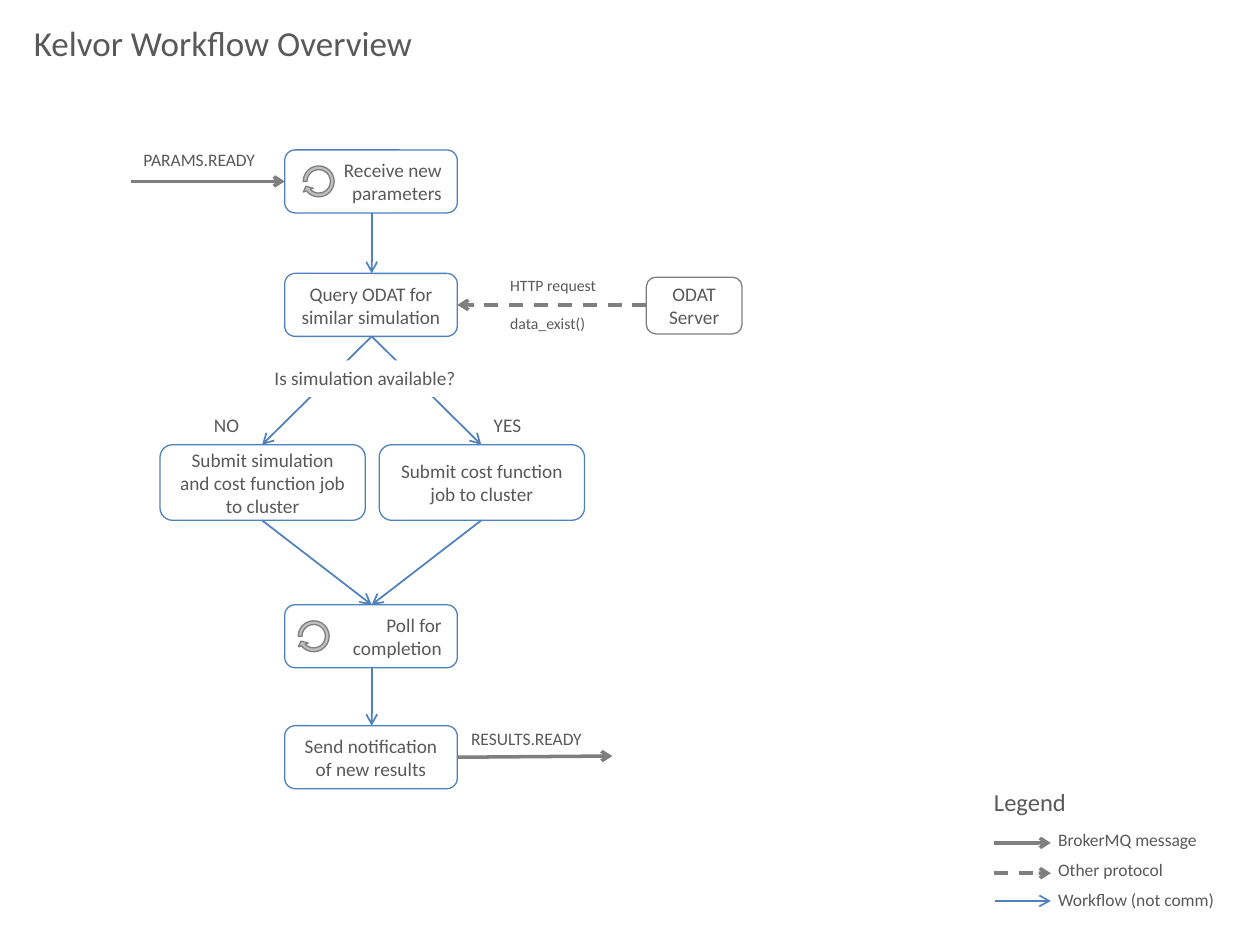
import pptx
import pptx.util
import pptx.dml.color
import pptx.enum.dml
import pptx.enum.shapes
import pptx.enum.text
import pptx.oxml.ns
import lxml.etree

Inches, Pt = pptx.util.Inches, pptx.util.Pt
MSO_SHAPE = pptx.enum.shapes.MSO_SHAPE
ALIGN = pptx.enum.text.PP_ALIGN
BLUE, GRAY, TEXT, WHITE = "4F81BD", "7F7F7F", "595959", "FFFFFF"


def rgb(value):
    return pptx.dml.color.RGBColor.from_string(value)


def write(frame, lines, size, align=ALIGN.LEFT):
    frame.text = "\n".join(lines)
    for paragraph in frame.paragraphs:
        paragraph.alignment = align
        paragraph.font.size = Pt(size)
        paragraph.font.name = "Calibri"
        paragraph.font.color.rgb = rgb(TEXT)


deck = pptx.Presentation()
deck.slide_width, deck.slide_height = Inches(10), Inches(7.5)
slide = deck.slides.add_slide(deck.slide_layouts[6])
shapes = slide.shapes

# Column and row positions of the flow
middle, no_x, yes_x = 2.95, 2.08, 3.82
step_left, step_width, step_height = 2.26, 1.37, 0.5
step_right = step_left + step_width
receive_y, query_y, submit_y, poll_y, send_y = 1.19, 2.17, 3.53, 4.8, 5.76
submit_width, submit_height = 1.63, 0.6

# Workflow steps and the server
steps = [
    (step_left, receive_y, step_width, step_height, BLUE, ALIGN.RIGHT, "Receive new parameters"),
    (step_left, query_y, step_width, step_height, BLUE, ALIGN.CENTER, "Query ODAT for similar simulation"),
    (1.27, submit_y, submit_width, submit_height, BLUE, ALIGN.CENTER,
     "Submit simulation and cost function job to cluster"),
    (3.01, submit_y, submit_width, submit_height, BLUE, ALIGN.CENTER, "Submit cost function job to cluster"),
    (step_left, poll_y, step_width, step_height, BLUE, ALIGN.RIGHT, "Poll for completion"),
    (step_left, send_y, step_width, step_height, BLUE, ALIGN.CENTER, "Send notification of new results"),
    (5.13, 2.2, 0.76, 0.45, GRAY, ALIGN.CENTER, "ODAT Server"),
]
for left, top, width, height, outline, align, wording in steps:
    step = shapes.add_shape(MSO_SHAPE.ROUNDED_RECTANGLE, Inches(left), Inches(top), Inches(width), Inches(height))
    step.shadow.inherit = False
    step.fill.solid()
    step.fill.fore_color.rgb = rgb(WHITE)
    step.line.color.rgb = rgb(outline)
    step.line.width = Pt(0.75)
    step.text_frame.word_wrap = True
    step.text_frame.vertical_anchor = pptx.enum.text.MSO_ANCHOR.MIDDLE
    write(step.text_frame, [wording], 11, align)

# Loop symbols on the repeating steps
for left, top in [(2.38, receive_y + 0.1), (2.34, poll_y + 0.1)]:
    loop = shapes.add_shape(MSO_SHAPE.CIRCULAR_ARROW, Inches(left), Inches(top), Inches(0.3), Inches(0.3))
    for index, value in enumerate([0.1, 11.42, 83.96, 108, 0.14]):
        loop.adjustments[index] = value
    loop.shadow.inherit = False
    loop.fill.solid()
    loop.fill.fore_color.rgb = rgb("BFBFBF")
    loop.line.color.rgb = rgb(GRAY)
    loop.line.width = Pt(0.75)

# Arrows: start, end, colour, width, dashed
workflow, message, protocol = (BLUE, 1, False), (GRAY, 2, False), (GRAY, 2, True)
arrows = [
    (1.04, 1.44, step_left, 1.44, message),
    (middle, receive_y + step_height, middle, query_y, workflow),
    (middle, query_y + step_height, no_x, submit_y, workflow),
    (middle, query_y + step_height, yes_x, submit_y, workflow),
    (no_x, submit_y + submit_height, middle, poll_y, workflow),
    (yes_x, submit_y + submit_height, middle, poll_y, workflow),
    (middle, poll_y + step_height, middle, send_y, workflow),
    (step_right, 6.01, 4.86, 6, message),
    (5.13, 2.42, step_right, 2.42, protocol),
    (7.89, 6.69, 8.34, 6.69, message),
    (7.89, 6.93, 8.34, 6.93, protocol),
    (7.9, 7.15, 8.34, 7.15, workflow),
]
for x1, y1, x2, y2, (color, weight, dashed) in arrows:
    arrow = shapes.add_connector(pptx.enum.shapes.MSO_CONNECTOR.STRAIGHT,
                                 Inches(x1), Inches(y1), Inches(x2), Inches(y2))
    arrow.line.color.rgb = rgb(color)
    arrow.line.width = Pt(weight)
    if dashed:
        arrow.line.dash_style = pptx.enum.dml.MSO_LINE.DASH
    outline = arrow.line._get_or_add_ln()
    lxml.etree.SubElement(outline, pptx.oxml.ns.qn("a:tailEnd"), type="arrow")
    lxml.etree.SubElement(outline.getparent(), pptx.oxml.ns.qn("a:effectLst"))

# Title, labels and legend: place, size, lines, fill, space before and after
labels = [
    (0.17, 0.12, 3.26, 0.44, 20, ["Kelvor Workflow Overview"], None, 0, 0),
    (1.04, 1.13, 1.11, 0.27, 10, ["PARAMS.READY"], None, 0, 0),
    (2.08, 2.86, 1.66, 0.29, 11, ["Is simulation available?"], WHITE, 0, 0),
    (yes_x, 3.23, 0.42, 0.29, 11, ["YES"], None, 0, 0),
    (1.6, 3.23, 0.4, 0.29, 11, ["NO"], None, 0, 0),
    (3.64, 5.73, 1.11, 0.27, 10, ["RESULTS.READY"], None, 0, 0),
    (3.95, 2.14, 0.89, 0.56, 9, ["HTTP request", "data_exist()"], None, 11, 0),
    (7.79, 6.2, 0.79, 0.34, 14, ["Legend"], None, 0, 0),
    (8.3, 6.53, 1.46, 0.75, 10, ["BrokerMQ message", "Other protocol", "Workflow (not comm)"], None, 0, 5),
]
for left, top, width, height, size, lines, fill, before, after in labels:
    label = shapes.add_textbox(Inches(left), Inches(top), Inches(width), Inches(height))
    if fill:
        label.fill.solid()
        label.fill.fore_color.rgb = rgb(fill)
    label.text_frame.word_wrap = False
    label.text_frame.auto_size = pptx.enum.text.MSO_AUTO_SIZE.SHAPE_TO_FIT_TEXT
    write(label.text_frame, lines, size)
    for paragraph in label.text_frame.paragraphs:
        paragraph.space_after = Pt(after)
    for paragraph in label.text_frame.paragraphs[1:]:
        paragraph.space_before = Pt(before)

deck.save("out.pptx")
